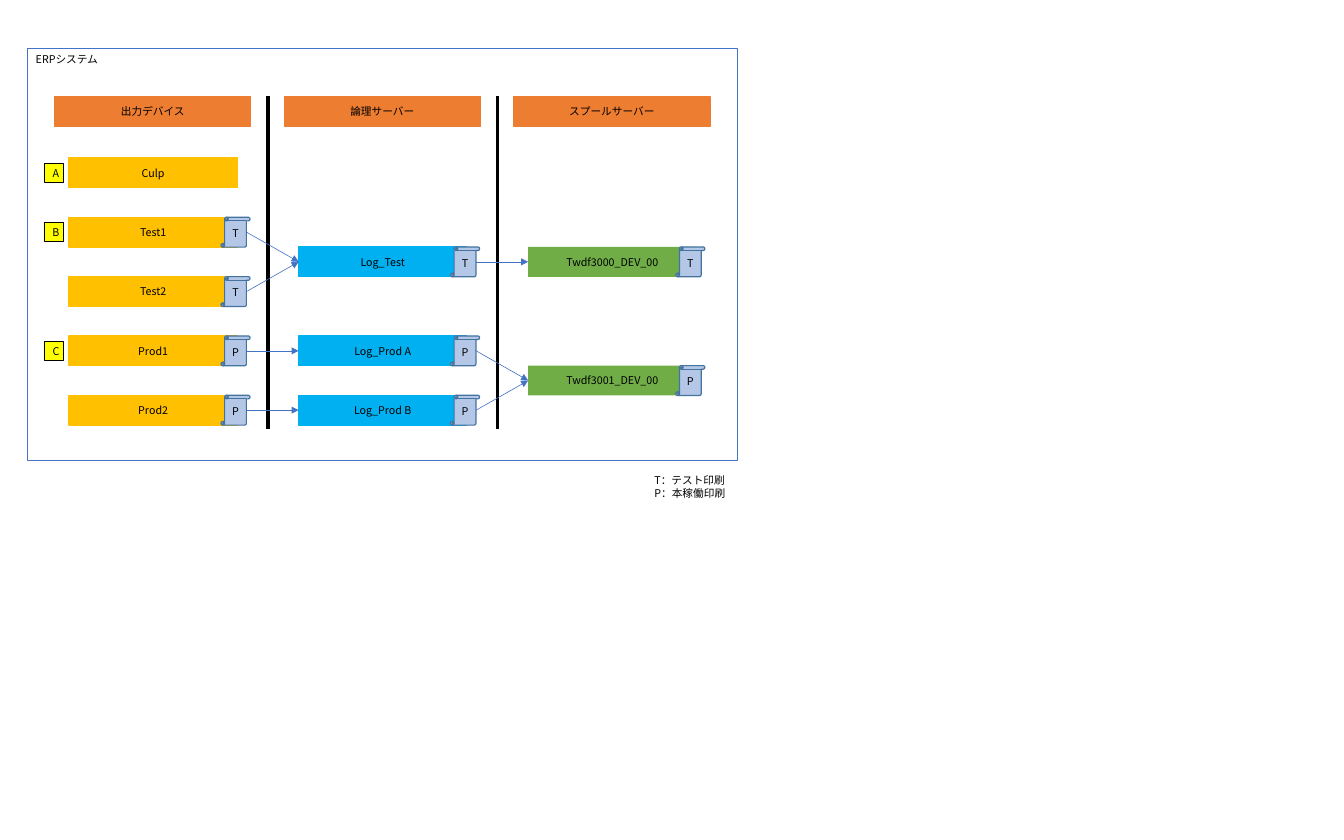
from pptx import Presentation
from pptx.dml.color import RGBColor
from pptx.enum.shapes import MSO_CONNECTOR, MSO_SHAPE
from pptx.enum.text import MSO_ANCHOR, PP_ALIGN
from pptx.oxml.ns import qn
from pptx.util import Inches, Pt
from lxml import etree

RECTANGLE = MSO_SHAPE.RECTANGLE
SCROLL = MSO_SHAPE.VERTICAL_SCROLL
STRAIGHT = MSO_CONNECTOR.STRAIGHT
TOP, MIDDLE = MSO_ANCHOR.TOP, MSO_ANCHOR.MIDDLE
LEFT, CENTER = PP_ALIGN.LEFT, PP_ALIGN.CENTER
LEFT_SITE, RIGHT_SITE = 1, 3

THEME = {
    "font": "Noto Sans CJK JP", "size": 9, "text": "000000",
    "frame": ("FFFFFF", "4472C4"), "header": ("ED7D31", "ED7D31"),
    "device": ("FFC000", "FFC000"), "logical": ("00B0F0", "00B0F0"),
    "spool": ("70AD47", None), "scroll": ("B4C7E7", "43739E"),
    "badge": ("FFFF00", "000000"), "divider": ("000000", 3), "arrow": ("4472C4", 0.5),
}

deck = Presentation()
deck.slide_width, deck.slide_height = Inches(15.75), Inches(9.84)
page = deck.slides.add_slide(deck.slide_layouts[6])


def add_box(area, lines, style=None, kind=RECTANGLE, align=CENTER, anchor=MIDDLE, margins=(0.1, 0.05, 0.1, 0.05)):
    lengths = [Inches(value) for value in area]
    if style:
        box = page.shapes.add_shape(kind, *lengths)
        box.shadow.inherit = False
        fill, line = THEME[style]
        box.fill.solid()
        box.fill.fore_color.rgb = RGBColor.from_string(fill)
        if line:
            box.line.color.rgb = RGBColor.from_string(line)
            box.line.width = Pt(1)
        else:
            box.line.fill.background()
    else:
        box = page.shapes.add_textbox(*lengths)
    frame = box.text_frame
    settings = {"word_wrap": True, "vertical_anchor": anchor}
    for side, margin in zip(("left", "top", "right", "bottom"), margins):
        settings[f"margin_{side}"] = Inches(margin)
    for name, value in settings.items():
        setattr(frame, name, value)
    for index, text in enumerate(lines):
        para = frame.add_paragraph() if index else frame.paragraphs[0]
        para.alignment = align
        span = para.add_run()
        span.text = text
        for name, value in {"name": THEME["font"], "size": Pt(THEME["size"])}.items():
            setattr(span.font, name, value)
        span.font.color.rgb = RGBColor.from_string(THEME["text"])
        etree.SubElement(span.font._element, qn("a:ea"), typeface=THEME["font"])
    return box


def add_line(start, end, style):
    line = page.shapes.add_connector(STRAIGHT, *[Inches(value) for value in (*start, *end)])
    color, width = THEME[style]
    line.line.color.rgb = RGBColor.from_string(color)
    line.line.width = Pt(width)
    etree.SubElement(line._element.spPr, qn("a:effectLst"))
    return line


COLUMN_STEP, ROW_STEP = 2.69, 0.695
BOX_LEFT, ROW_TOP, BOX_WIDTH, BOX_HEIGHT = 0.81, 1.85, 1.97, 0.35
SCROLL_WIDTH, SCROLL_EDGE = 0.34, 0.3
SCROLL_LEFTS = (2.59, 5.28, 7.92)
BADGE = 0.22

COLUMNS = [
    ("出力デバイス", "device",
     [("Culp", 0, None), ("Test1", 1, "T"), ("Test2", 2, "T"), ("Prod1", 3, "P"), ("Prod2", 4, "P")]),
    ("論理サーバー", "logical",
     [("Log_Test", 1.5, "T"), ("Log_Prod A", 3, "P"), ("Log_Prod B", 4, "P")]),
    ("スプールサーバー", "spool",
     [("Twdf3000_DEV_00", 1.5, "T"), ("Twdf3001_DEV_00", 3.5, "P")]),
]
BADGES = [("A", 0), ("B", 1), ("C", 3)]
ROUTES = [
    ("Test1", "Log_Test"), ("Test2", "Log_Test"),
    ("Prod1", "Log_Prod A"), ("Prod2", "Log_Prod B"),
    ("Log_Prod B", "Twdf3001_DEV_00"), ("Log_Prod A", "Twdf3001_DEV_00"),
    ("Log_Test", "Twdf3000_DEV_00"),
]

add_box((0.32, 0.57, 8.32, 4.83), ["ERPシステム"], "frame", align=LEFT, anchor=TOP)

boxes, scrolls = {}, {}
for column, (header, style, entries) in enumerate(COLUMNS):
    shift = column * COLUMN_STEP
    add_box((0.64 + shift, 1.13, 2.3, BOX_HEIGHT), [header], style="header")
    for name, row, job in entries:
        top = ROW_TOP + row * ROW_STEP
        boxes[name] = add_box((BOX_LEFT + shift, top, BOX_WIDTH, BOX_HEIGHT), [name], style)
        if job:
            scrolls[name] = add_box((SCROLL_LEFTS[column], top, SCROLL_WIDTH, BOX_HEIGHT), [job],
                                    "scroll", SCROLL, margins=(0, 0, 0, 0))

for letter, row in BADGES:
    top = ROW_TOP + row * ROW_STEP + (BOX_HEIGHT - BADGE) / 2
    add_box((0.52, top, BADGE, BADGE), [letter], "badge", margins=(0.05, 0, 0, 0))

for column in range(2):
    x = 3.14 + column * COLUMN_STEP
    add_line((x, 1.13), (x, 5.02), "divider")

for source, target in ROUTES:
    arrow = add_line((0, 0), (1, 1), "arrow")
    arrow.begin_connect(scrolls[source], RIGHT_SITE)
    arrow.end_connect(boxes[target], LEFT_SITE)
    arrow.begin_x = scrolls[source].left + Inches(SCROLL_EDGE)
    etree.SubElement(arrow.line._get_or_add_ln(), qn("a:tailEnd"), type="triangle")

add_box((7.57, 5.41, 1.08, 0.59), ["T：テスト印刷", "P：本稼働印刷"], align=LEFT)

deck.save("out.pptx")
